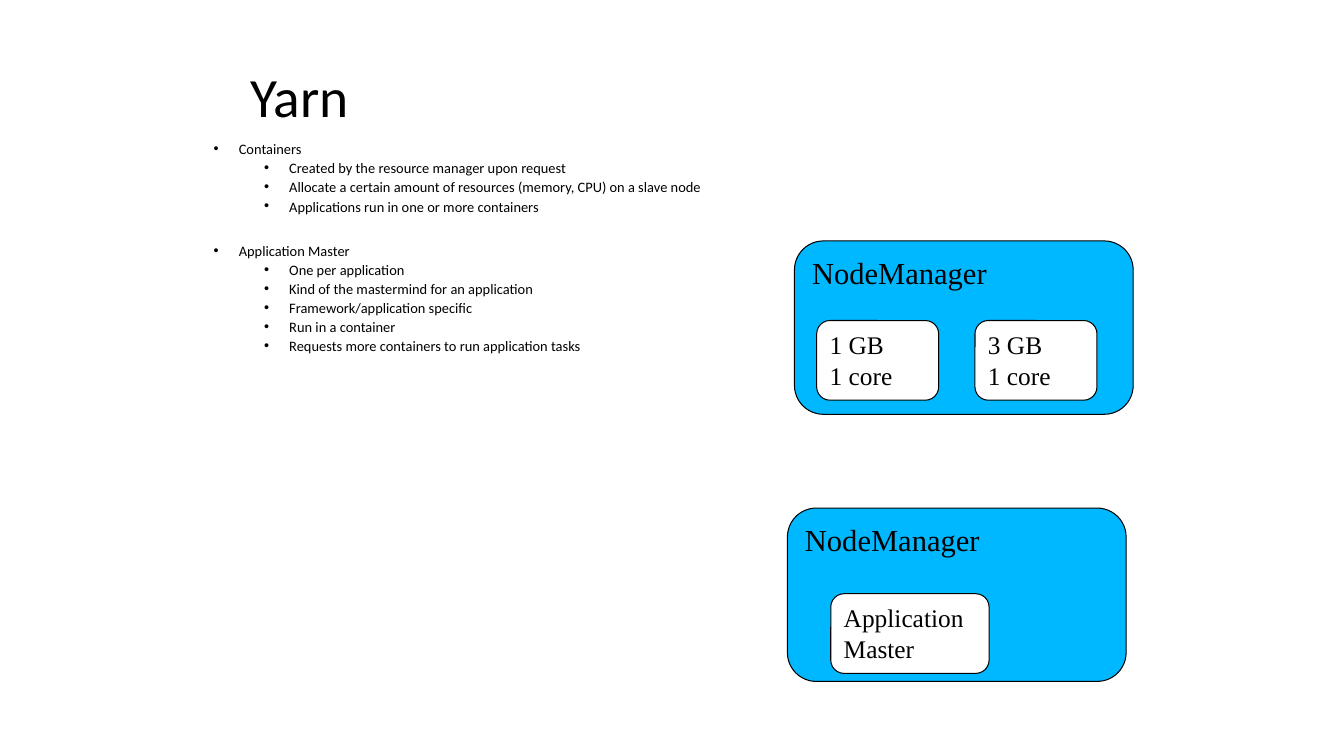
from lxml.etree import SubElement
from pptx import Presentation
from pptx.dml.color import RGBColor
from pptx.enum.shapes import MSO_SHAPE as Shape
from pptx.enum.text import MSO_ANCHOR as Anchor, PP_ALIGN as Align
from pptx.oxml.ns import qn
from pptx.util import Emu, Pt

EMU_PER_PX = 9144  # 100 px to the inch
BLACK = RGBColor(0x00, 0x00, 0x00)
WHITE = RGBColor(0xFF, 0xFF, 0xFF)
NODE_BLUE = RGBColor(0x00, 0xB8, 0xFF)

TOPICS = [
    ("Containers", [
        "Created by the resource manager upon request",
        "Allocate a certain amount of resources (memory, CPU) on a slave node",
        "Applications run in one or more containers",
    ]),
    ("Application Master", [
        "One per application",
        "Kind of the mastermind for an application",
        "Framework/application specific",
        "Run in a container",
        "Requests more containers to run application tasks",
    ]),
]


def px(length):
    return Emu(length * EMU_PER_PX)


class SlideBuilder:
    text_font = "Calibri"
    node_font = "Times New Roman"

    def __init__(self, deck):
        self.page = deck.slides.add_slide(deck.slide_layouts[5])

    def style(self, para, font, size):
        for span in para.runs:
            span.font.name = font
            span.font.size = Pt(size)
            span.font.color.rgb = BLACK

    def title(self, text, left, top, width, height):
        box = self.page.shapes.title
        box.left, box.top, box.width, box.height = map(px, (left, top, width, height))
        frame = box.text_frame
        frame.text = text
        frame.vertical_anchor = Anchor.MIDDLE
        para = frame.paragraphs[0]
        para.alignment = Align.LEFT
        para.line_spacing = 0.9
        self.style(para, self.text_font, 39.6)

    def bullet(self, para, text, level, space_before):
        para.text = text
        para.level = level
        para.line_spacing = 0.7
        para.space_before = Pt(space_before)
        props = para._p.get_or_add_pPr()
        props.set("marL", str(px(75 if level else 25)))
        props.set("indent", str(px(-25)))
        SubElement(props, qn("a:buFont"), typeface="Arial")
        SubElement(props, qn("a:buChar"), char="•")
        self.style(para, self.text_font, 10.3)

    def outline(self, topics, left, top, width, height):
        box = self.page.shapes.add_textbox(*map(px, (left, top, width, height)))
        frame = box.text_frame
        frame.word_wrap = True
        para = frame.paragraphs[0]
        for index, (heading, details) in enumerate(topics):
            if index:
                para = frame.add_paragraph()
            self.bullet(para, heading, 0, 23 if index else 0)
            for detail in details:
                self.bullet(frame.add_paragraph(), detail, 1, 5)

    def rounded_box(self, text, left, top, width, height, fill, size):
        box = self.page.shapes.add_shape(
            Shape.ROUNDED_RECTANGLE, *map(px, (left, top, width, height)))
        box.shadow.inherit = False
        box.fill.solid()
        box.fill.fore_color.rgb = fill
        box.line.color.rgb = BLACK
        box.line.width = Pt(0.75)
        frame = box.text_frame
        frame.margin_left = frame.margin_right = px(9)
        frame.margin_top = frame.margin_bottom = px(5)
        frame.vertical_anchor = Anchor.TOP
        frame.text = text
        for para in frame.paragraphs:
            para.alignment = Align.LEFT
            self.style(para, self.node_font, size)

    def node_manager(self, left, top):
        self.rounded_box("NodeManager", left, top, 336, 172, NODE_BLUE, 21.8)

    def container(self, text, left, top, width):
        self.rounded_box(text, left, top, width, 79, WHITE, 18.1)


def main():
    deck = Presentation()
    deck.slide_width, deck.slide_height = px(1333), px(750)
    slide = SlideBuilder(deck)

    # Title and outline
    slide.title("Yarn", 238, 61, 890, 76)
    slide.outline(TOPICS, 202, 139, 571, 221)

    # Node with two resource containers
    slide.node_manager(788, 239)
    for index, memory in enumerate(("1 GB", "3 GB")):
        slide.container(f"{memory}\n1 core", 810 + 157 * index, 318, 121)

    # Node running the application master
    slide.node_manager(781, 504)
    slide.container("Application Master", 824, 589, 157)

    deck.save("out.pptx")


if __name__ == "__main__":
    main()
